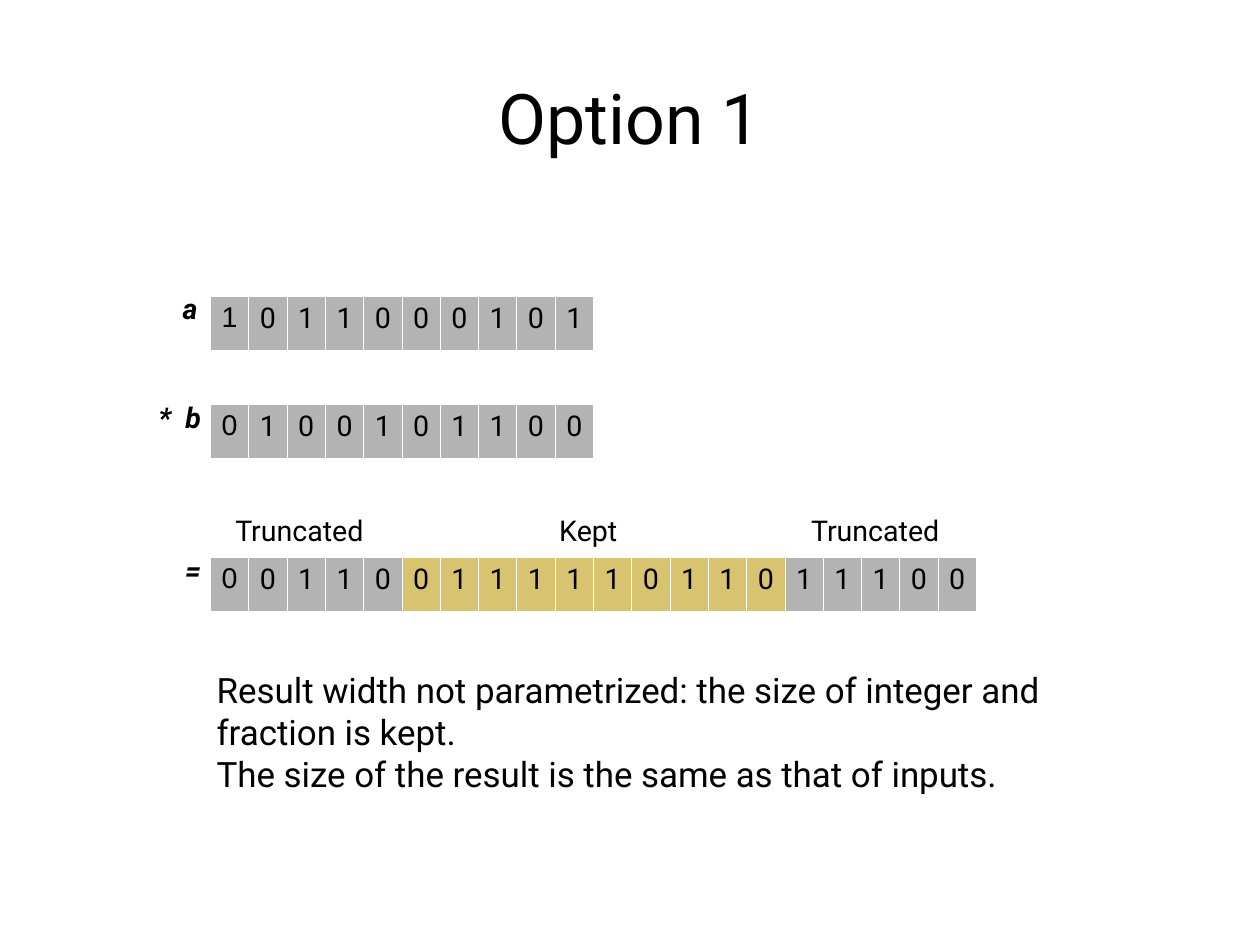
from lxml import etree
from pptx import Presentation
from pptx.dml.color import RGBColor
from pptx.enum.text import MSO_ANCHOR, MSO_AUTO_SIZE, PP_ALIGN
from pptx.oxml.ns import qn
from pptx.util import Pt

MIDDLE = MSO_ANCHOR.MIDDLE
NO_FIT = MSO_AUTO_SIZE.NONE
LEFT, CENTER, RIGHT = PP_ALIGN.LEFT, PP_ALIGN.CENTER, PP_ALIGN.RIGHT
GREY, GOLD, BLACK, WHITE = "B3B3B3", "D7C370", "000000", "FFFFFF"
BIT_W, BIT_H, BITS_LEFT = 24.14, 33.84, 132.4


def style(r, size, font="Roboto", strong=False):
    r.font.size = Pt(size)
    r.font.name = font
    r.font.bold = r.font.italic = strong
    r.font.color.rgb = RGBColor.from_string(BLACK)


def add_text(paragraphs, left, top, width, height, size, align=LEFT, strong=False, wrap=True):
    tf = s.shapes.add_textbox(Pt(left), Pt(top), Pt(width), Pt(height)).text_frame
    tf.word_wrap = wrap
    tf.text = "\n".join(paragraphs)
    for p in tf.paragraphs:
        p.alignment = align
        for r in p.runs:
            style(r, size, strong=strong)
    return tf


prs = Presentation()
prs.slide_width, prs.slide_height = Pt(793.7), Pt(595.28)
s = prs.slides.add_slide(prs.slide_layouts[5])

# Title
title = s.shapes.title
title.left, title.top, title.width, title.height = Pt(39.6), Pt(23.76), Pt(714.24), Pt(99.36)
tf = title.text_frame
tf.text = "Option 1"
tf.auto_size = NO_FIT
tf.vertical_anchor = MIDDLE
tf.margin_left = tf.margin_top = tf.margin_right = tf.margin_bottom = 0
tf.paragraphs[0].alignment = CENTER
style(tf.paragraphs[0].runs[0], 44)

# Bit rows: top, bits, indexes of the kept bits
for top, bits, kept in [
    (186.4, "1011000101", range(0)),
    (254.5, "0100101100", range(0)),
    (350.9, "00110011111011011100", range(5, 15)),
]:
    frame = s.shapes.add_table(1, len(bits), Pt(BITS_LEFT), Pt(top),
                               Pt(BIT_W * len(bits)), Pt(BIT_H))
    table = frame.table
    table.first_row = table.horz_banding = False
    table.rows[0].height = Pt(BIT_H)
    for i, bit in enumerate(bits):
        table.columns[i].width = Pt(BIT_W)
        cell = table.cell(0, i)
        cell.text = bit
        style(cell.text_frame.paragraphs[0].runs[0], 18, "Roboto" if i else "Arial")
        cell.fill.solid()
        cell.fill.fore_color.rgb = RGBColor.from_string(GOLD if i in kept else GREY)
        # Thin white borders, placed ahead of the fill
        tc_pr = cell._tc.get_or_add_tcPr()
        for n, side in enumerate(("a:lnL", "a:lnR", "a:lnT", "a:lnB")):
            ln = etree.Element(qn(side), w=str(Pt(0.06)))
            fill = etree.SubElement(ln, qn("a:solidFill"))
            etree.SubElement(fill, qn("a:srgbClr"), val=WHITE)
            tc_pr.insert(n, ln)

# Row labels
add_text(["a"], 108, 179.7, 21.6, 34.56, 18, strong=True)
times = add_text(["*"], 82.08, 248.4, 56.16, 62.64, 18, RIGHT, strong=True)
equals = add_text(["="], 36, 344.5, 102.24, 62.64, 18, RIGHT, strong=True)
times.margin_right = equals.margin_right = Pt(11.7)
p = times.paragraphs[0]
p.runs[0]._r.get_or_add_rPr().set("spc", "450")  # wider gap after the sign
r = p.add_run()
r.text = " b"
style(r, 18, strong=True)

# Captions above the result
for caption, left, width in [
    ("Truncated", 141.12, 101.52), ("Kept", 345.2, 54.72), ("Truncated", 503.8, 101.52),
]:
    add_text([caption], left, 319.3, width, 33.84, 18, wrap=False)

# Explanation
add_text(["Result width not parametrized: the size of integer and fraction is kept.",
          "The size of the result is the same as that of inputs."],
         129.4, 417.6, 561.6, 136.8, 22)

prs.save("out.pptx")
